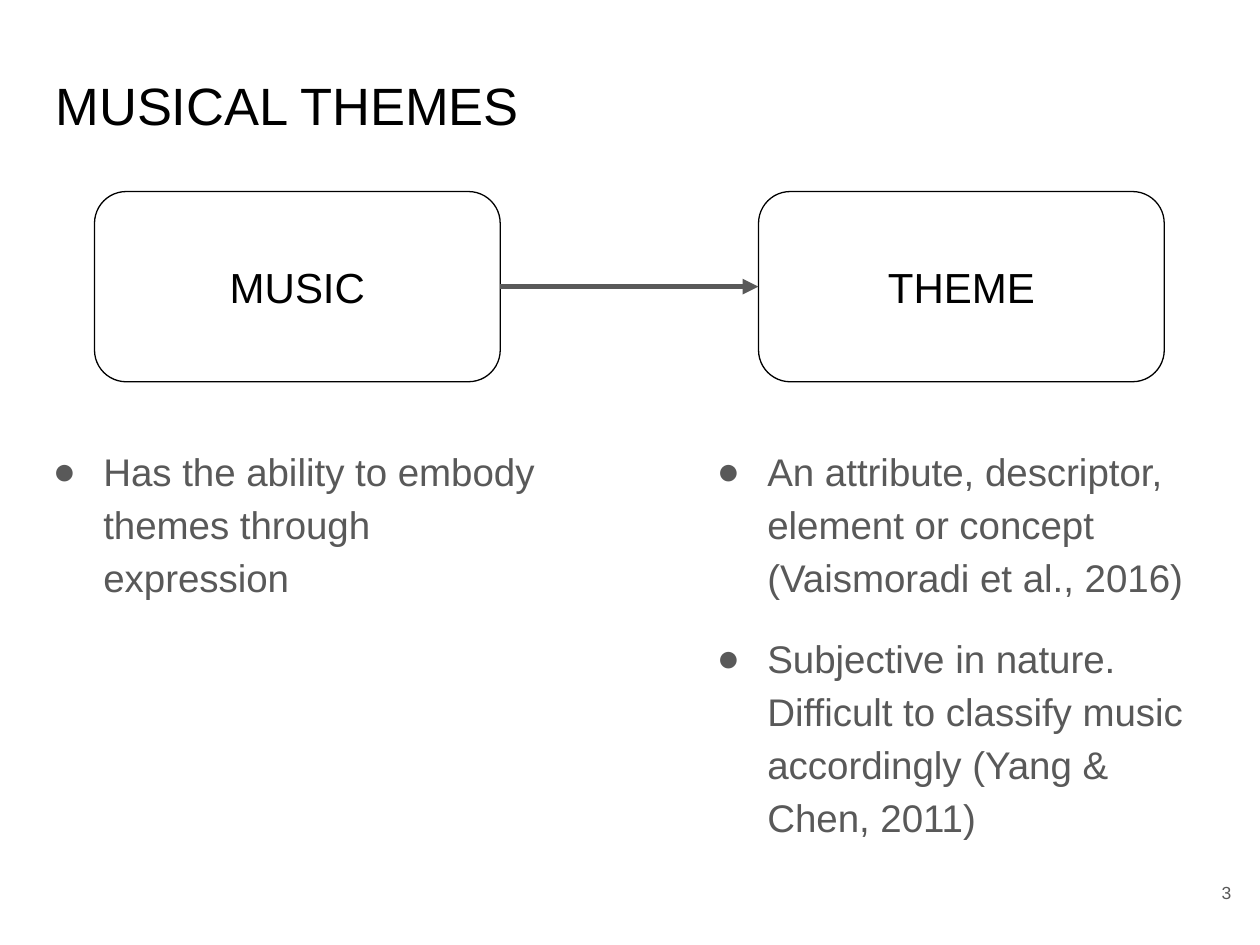
from dataclasses import dataclass

from lxml.etree import SubElement
from pptx import Presentation
from pptx.dml.color import RGBColor
from pptx.enum.shapes import MSO_CONNECTOR, MSO_SHAPE
from pptx.enum.text import MSO_ANCHOR, MSO_AUTO_SIZE, PP_ALIGN
from pptx.oxml.ns import qn
from pptx.util import Inches, Pt

COLOURS = {"black": "000000", "grey": "595959"}
FONT = "Arial"
BOX_TOP, BOX_WIDTH, BOX_HEIGHT = 1.52, 3.22, 1.51
LIST_TOP, LIST_WIDTH, LIST_HEIGHT = 3.4, 4.29, 3.48
LIST_OFFSET = -0.53


@dataclass
class Concept:
    label: str
    left: float
    points: list[str]


CONCEPTS = [
    Concept("MUSIC", 0.75, ["Has the ability to embody themes through expression"]),
    Concept("THEME", 6.02, [
        "An attribute, descriptor, element or concept (Vaismoradi et al., 2016)",
        "Subjective in nature. Difficult to classify music accordingly (Yang & Chen, 2011)",
    ]),
]


def colour(name: str) -> RGBColor:
    return RGBColor.from_string(COLOURS[name])


def place(shape, left: float, top: float, width: float, height: float) -> None:
    shape.left, shape.top = Inches(left), Inches(top)
    shape.width, shape.height = Inches(width), Inches(height)


def prepare_frame(shape, anchor=MSO_ANCHOR.TOP):
    frame = shape.text_frame
    frame.word_wrap = True
    frame.auto_size = MSO_AUTO_SIZE.NONE
    frame.vertical_anchor = anchor
    frame.margin_left = frame.margin_right = Inches(0.1)
    frame.margin_top = frame.margin_bottom = Inches(0.1)
    return frame


def write(paragraph, text: str, size: float, colour_name: str,
          alignment=PP_ALIGN.LEFT) -> None:
    paragraph.alignment = alignment
    run = paragraph.add_run()
    run.text = text
    run.font.name = FONT
    run.font.size = Pt(size)
    run.font.color.rgb = colour(colour_name)


def add_bullet(paragraph) -> None:
    properties = paragraph._p.get_or_add_pPr()
    properties.set("marL", str(Inches(0.5)))
    properties.set("indent", str(Inches(-0.4)))
    bullet_colour = SubElement(properties, qn("a:buClr"))
    SubElement(bullet_colour, qn("a:srgbClr"), val=COLOURS["grey"])
    SubElement(properties, qn("a:buFont"), typeface=FONT)
    SubElement(properties, qn("a:buChar"), char="●")


def fill_list(placeholder, concept: Concept) -> None:
    place(placeholder, concept.left + LIST_OFFSET, LIST_TOP, LIST_WIDTH, LIST_HEIGHT)
    frame = prepare_frame(placeholder)
    for index, point in enumerate(concept.points):
        paragraph = frame.add_paragraph() if index else frame.paragraphs[0]
        paragraph.line_spacing = 1.15
        paragraph.space_before = Pt(16 if index else 0)
        paragraph.space_after = Pt(16 if index == len(concept.points) - 1 else 0)
        write(paragraph, point, 22, "grey")
        add_bullet(paragraph)


def add_box(slide, concept: Concept):
    box = slide.shapes.add_shape(
        MSO_SHAPE.ROUNDED_RECTANGLE, Inches(concept.left), Inches(BOX_TOP),
        Inches(BOX_WIDTH), Inches(BOX_HEIGHT))
    box.shadow.inherit = False
    box.fill.background()
    box.line.color.rgb = colour("black")
    box.line.width = Pt(0.75)
    frame = prepare_frame(box, MSO_ANCHOR.MIDDLE)
    write(frame.paragraphs[0], concept.label, 24, "black", PP_ALIGN.CENTER)
    return box


def add_arrow(slide, source, target) -> None:
    arrow = slide.shapes.add_connector(MSO_CONNECTOR.STRAIGHT, 0, 0, 0, 0)
    arrow.begin_connect(source, 3)
    arrow.end_connect(target, 1)
    arrow.line.color.rgb = colour("grey")
    arrow.line.width = Pt(3)
    SubElement(arrow.line._get_or_add_ln(), qn("a:tailEnd"), type="triangle")
    SubElement(arrow._element.spPr, qn("a:effectLst"))


presentation = Presentation()
presentation.slide_width, presentation.slide_height = Inches(10), Inches(7.5)
slide = presentation.slides.add_slide(presentation.slide_layouts[3])

# Title
title = slide.shapes.title
place(title, 0.34, 0.48, 9.32, 0.83)
write(prepare_frame(title).paragraphs[0], "MUSICAL THEMES", 30, "black")

# Lists below the boxes
for placeholder_index, concept in enumerate(CONCEPTS, start=1):
    fill_list(slide.placeholders[placeholder_index], concept)

# Boxes and the arrow between them
music_box, theme_box = [add_box(slide, concept) for concept in CONCEPTS]
add_arrow(slide, music_box, theme_box)

# Page number
page_number = slide.shapes.add_textbox(
    Inches(9.27), Inches(6.8), Inches(0.6), Inches(0.57))
number_frame = prepare_frame(page_number, MSO_ANCHOR.MIDDLE)
write(number_frame.paragraphs[0], "3", 10, "grey", PP_ALIGN.RIGHT)

presentation.save("out.pptx")
